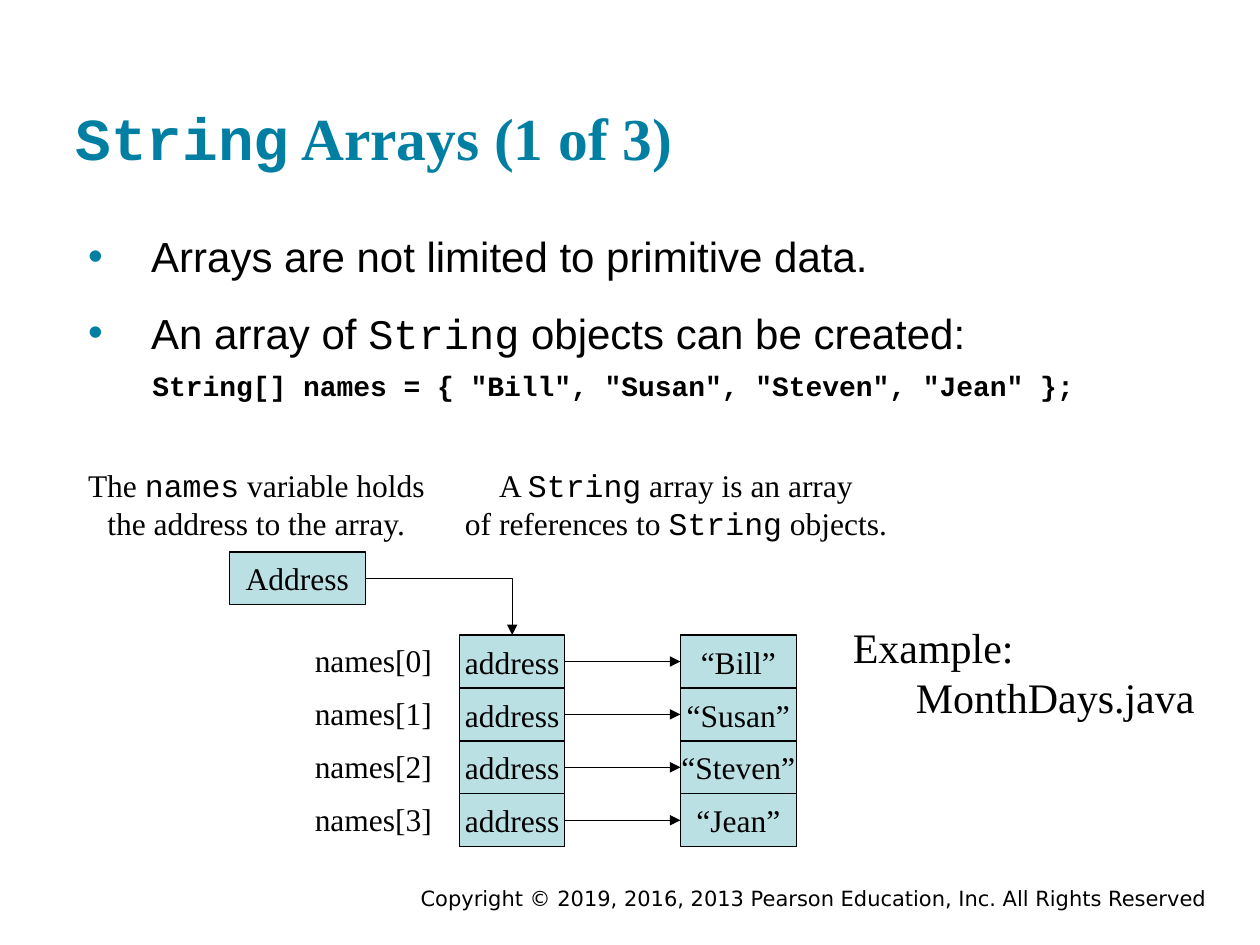
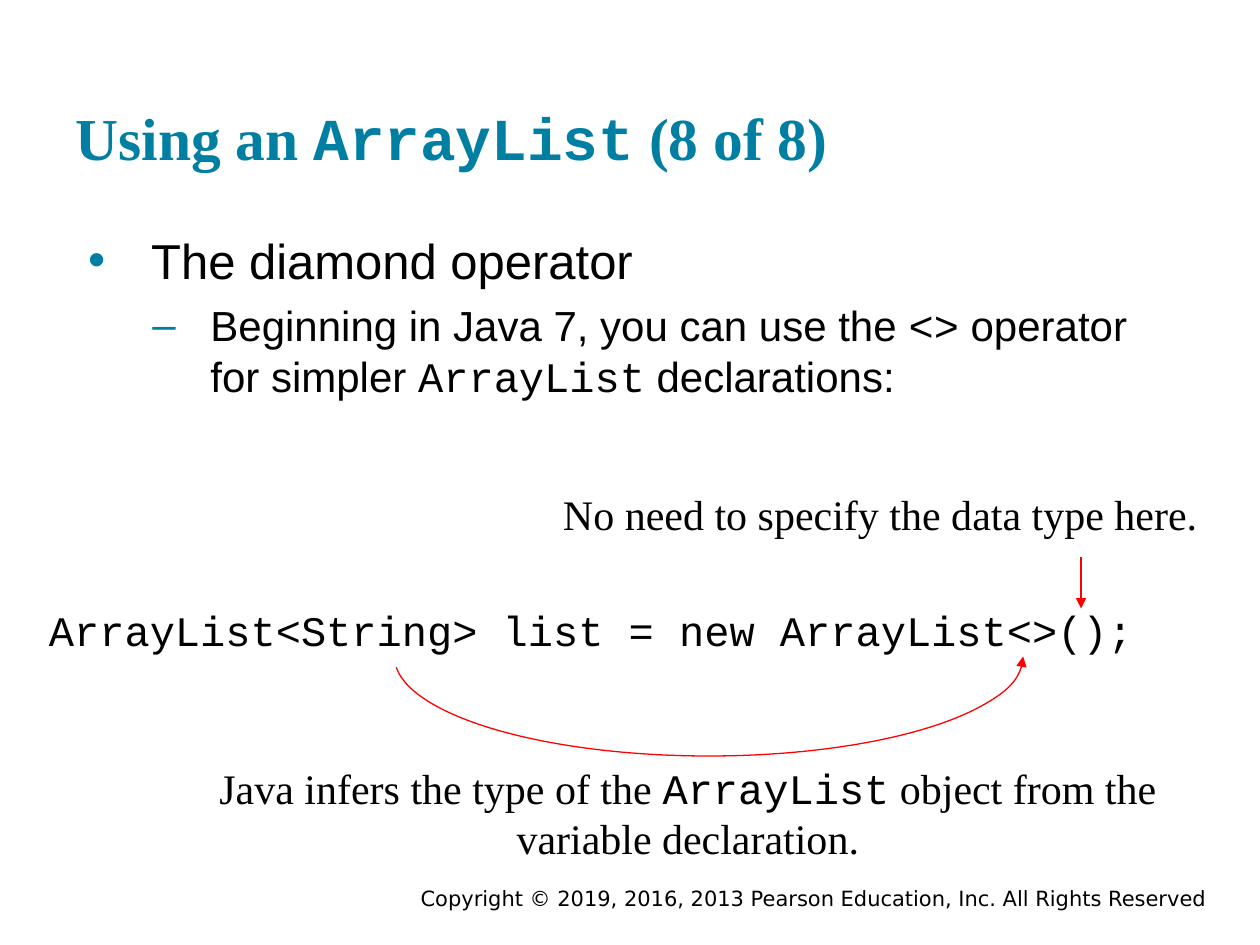
from lxml import etree
from pptx import Presentation
from pptx.dml.color import RGBColor
from pptx.enum.shapes import MSO_CONNECTOR, MSO_SHAPE
from pptx.enum.text import MSO_ANCHOR, MSO_AUTO_SIZE, PP_ALIGN
from pptx.oxml.ns import qn
from pptx.util import Pt

PX = 9144
TEAL = RGBColor(0x00, 0x7F, 0xA3)
CELL = RGBColor(0xBB, 0xE0, 0xE3)
BLACK = RGBColor(0, 0, 0)
RED = RGBColor(0xFF, 0, 0)
SERIF, SANS, CODE, FOOTER = "Times New Roman", "Arial", "Courier New", "DejaVu Sans"
LEFT, CENTER, RIGHT = PP_ALIGN.LEFT, PP_ALIGN.CENTER, PP_ALIGN.RIGHT
TOP, MIDDLE, BOTTOM = MSO_ANCHOR.TOP, MSO_ANCHOR.MIDDLE, MSO_ANCHOR.BOTTOM
NO_AUTOFIT = MSO_AUTO_SIZE.NONE
STRAIGHT, ELBOW = MSO_CONNECTOR.STRAIGHT, MSO_CONNECTOR.ELBOW
RECTANGLE, ARC = MSO_SHAPE.RECTANGLE, MSO_SHAPE.ARC
COPYRIGHT = "Copyright © 2019, 2016, 2013 Pearson Education, Inc. All Rights Reserved"


def write(paragraph, text, size, font, color=BLACK, bold=False):
    """Text between backticks is set in the code font."""
    for index, piece in enumerate(text.split("`")):
        if piece:
            run = paragraph.add_run()
            run.text = piece
            run.font.size = Pt(size)
            run.font.name = CODE if index % 2 else font
            run.font.color.rgb = color
            run.font.bold = bold


def style_arrow(arrow, color, end):
    arrow.line.color.rgb = color
    arrow.line.width = Pt(0.75)
    line = arrow.line._get_or_add_ln()
    etree.SubElement(line, qn(f"a:{end}"), type="triangle")
    properties = arrow._element.spPr
    if properties.find(qn("a:effectLst")) is None:
        etree.SubElement(properties, qn("a:effectLst"))


deck = Presentation()
deck.slide_width, deck.slide_height = 1000 * PX, 750 * PX

pages = [
    ("`String` Arrays (1 of 3)", [
        (0, "Arrays are not limited to primitive data.", 24, 60, -50, "•", 0, False),
        (0, "An array of `String` objects can be created:", 24, 60, -50, "•", 15, False),
        (1, '`String[] names = { "Bill", "Susan", "Steven", "Jean" };`',
         16, 81, -20, None, 6, True),
    ]),
    ("Using an `ArrayList` (8 of 8)", [
        (0, "The diamond operator", 28, 60, -50, "•", 0, False),
        (1, "Beginning in Java 7, you can use the `<>` operator "
            "for simpler `ArrayList` declarations:", 24, 107, -46, "–", 6, False),
    ]),
]
for heading, points in pages:
    slide = deck.slides.add_slide(deck.slide_layouts[1])
    title, body = slide.shapes.title, slide.placeholders[1]
    for holder, top, height, anchor in ((title, 27, 120, BOTTOM), (body, 173, 495, TOP)):
        holder.left, holder.top = 50 * PX, top * PX
        holder.width, holder.height = 900 * PX, height * PX
        frame = holder.text_frame
        frame.auto_size = NO_AUTOFIT
        frame.vertical_anchor = anchor
        frame.margin_left = frame.margin_right = 10 * PX
        frame.margin_top = frame.margin_bottom = 10 * PX
    title.text_frame.paragraphs[0].alignment = LEFT
    write(title.text_frame.paragraphs[0], heading, 34, SERIF, TEAL, True)

    for index, (level, text, size, margin, indent, bullet, before, bold) in enumerate(points):
        point = body.text_frame.add_paragraph() if index else body.text_frame.paragraphs[0]
        point.level = level
        properties = point._p.get_or_add_pPr()
        properties.set("marL", str(margin * PX))
        properties.set("indent", str(indent * PX))
        if bullet:
            bullet_color = etree.SubElement(properties, qn("a:buClr"))
            etree.SubElement(bullet_color, qn("a:srgbClr"), val=str(TEAL))
            etree.SubElement(properties, qn("a:buChar"), char=bullet)
        else:
            etree.SubElement(properties, qn("a:buNone"))
        point.space_before = Pt(before)
        write(point, text, size, SANS, bold=bold)

arrays, diamond = deck.slides

ROW_TOP, ROW_HEIGHT = 504, 42
names = ["Bill", "Susan", "Steven", "Jean"]
cells = [(182, 438, 108, "Address")]
for row, name in enumerate(names):
    top = ROW_TOP + row * ROW_HEIGHT
    cells += [(365, top, 83, "address"), (540, top, 92, f"“{name}”")]

boxes = []
for left, top, width, text in cells:
    box = arrays.shapes.add_shape(RECTANGLE, left * PX, top * PX, width * PX, ROW_HEIGHT * PX)
    box.shadow.inherit = False
    box.fill.solid()
    box.fill.fore_color.rgb = CELL
    box.line.color.rgb = BLACK
    box.line.width = Pt(0.75)
    box.text_frame.word_wrap = False
    box.text_frame.vertical_anchor = MIDDLE
    box.text_frame.paragraphs[0].alignment = CENTER
    write(box.text_frame.paragraphs[0], text, 18, SERIF)
    boxes.append(box)

array_address, references, strings = boxes[0], boxes[1::2], boxes[2::2]
links = [(STRAIGHT, reference, string, 1) for reference, string in zip(references, strings)]
links.append((ELBOW, array_address, references[0], 0))
for kind, source, target, side in links:
    link = arrays.shapes.add_connector(kind, 0, 0, 0, 0)
    link.begin_connect(source, 3)
    link.end_connect(target, side)
    if kind == ELBOW:
        link.left, link.top = source.left + source.width, source.top + source.height // 2
        link.width = target.left + target.width // 2 - link.left
        link.height = target.top - link.top
        link._element.spPr.find(qn("a:prstGeom")).set("prst", "bentConnector2")
    style_arrow(link, BLACK, "tailEnd")

captions = [
    (arrays, (60, 365, 287, 70),
     ["The `names` variable holds", "the address to the array."], 18, SERIF, CENTER, False),
    (arrays, (359, 365, 355, 70),
     ["A `String` array is an array", "of references to `String` objects."],
     18, SERIF, CENTER, False),
    (diamond, (146, 600, 800, 90),
     ["Java infers the type of the `ArrayList` object from the variable declaration."],
     24, SERIF, CENTER, True),
    (diamond, (29, 475, 900, 50),
     ["`ArrayList<String> list = new ArrayList<>();`"], 24, SERIF, LEFT, True),
    (diamond, (437, 383, 533, 50),
     ["No need to specify the data type here."], 24, SERIF, LEFT, True),
]
for row in range(len(names)):
    captions.append((arrays, (240, ROW_TOP + row * ROW_HEIGHT, 127, 40),
                     [f"names[{row}]"], 18, SERIF, LEFT, True))
for slide in deck.slides:
    captions.append((slide, (175, 703, 783, 22), [COPYRIGHT], 12, FOOTER, RIGHT, True))

for slide, area, lines, size, font, alignment, wrap in captions:
    frame = slide.shapes.add_textbox(*(length * PX for length in area)).text_frame
    frame.word_wrap = wrap
    if font == FOOTER:
        frame.margin_left = frame.margin_right = frame.margin_top = frame.margin_bottom = 0
    for index, line in enumerate(lines):
        paragraph = frame.add_paragraph() if index else frame.paragraphs[0]
        paragraph.alignment = alignment
        write(paragraph, line, size, font)

example = arrays.shapes.add_textbox(667 * PX, 488 * PX, 291 * PX, 90 * PX).text_frame
example.word_wrap = False
example_line = example.paragraphs[0]
properties = example_line._p.get_or_add_pPr()
properties.set("marL", str(50 * PX))
properties.set("indent", str(-50 * PX))
write(example_line, "Example:", 24, SERIF)
example_line.add_line_break()
write(example_line, "MonthDays.java", 24, SERIF)

inference = diamond.shapes.add_shape(ARC, 313 * PX, 442 * PX, 499 * PX, 158 * PX)
inference.shadow.inherit = False
inference.fill.background()
inference.adjustments[0] = 0
inference.adjustments[1] = 106.8
style_arrow(inference, RED, "headEnd")

pointer = diamond.shapes.add_connector(STRAIGHT, 858 * PX, 442 * PX, 858 * PX, 483 * PX)
style_arrow(pointer, RED, "tailEnd")

deck.save("out.pptx")
